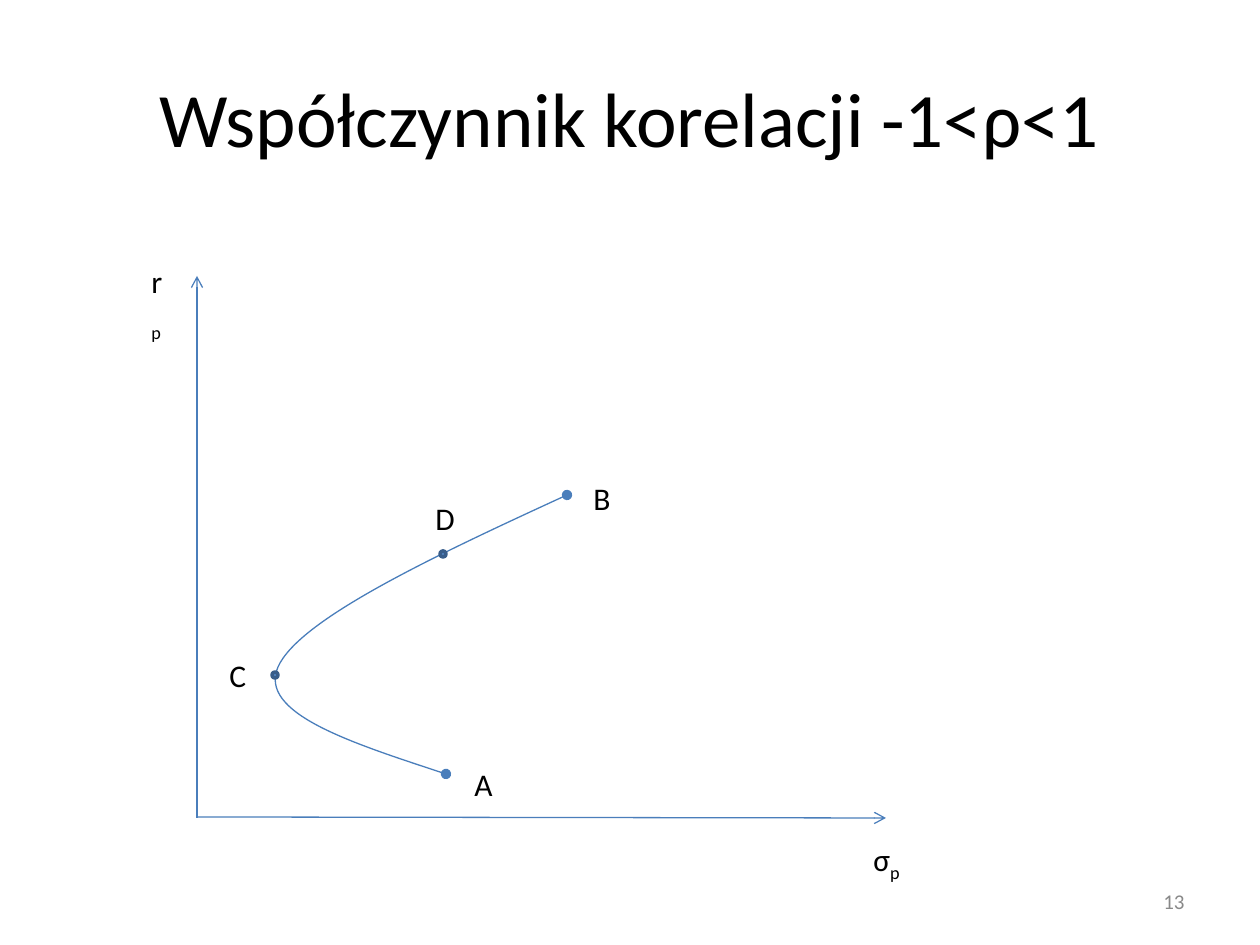
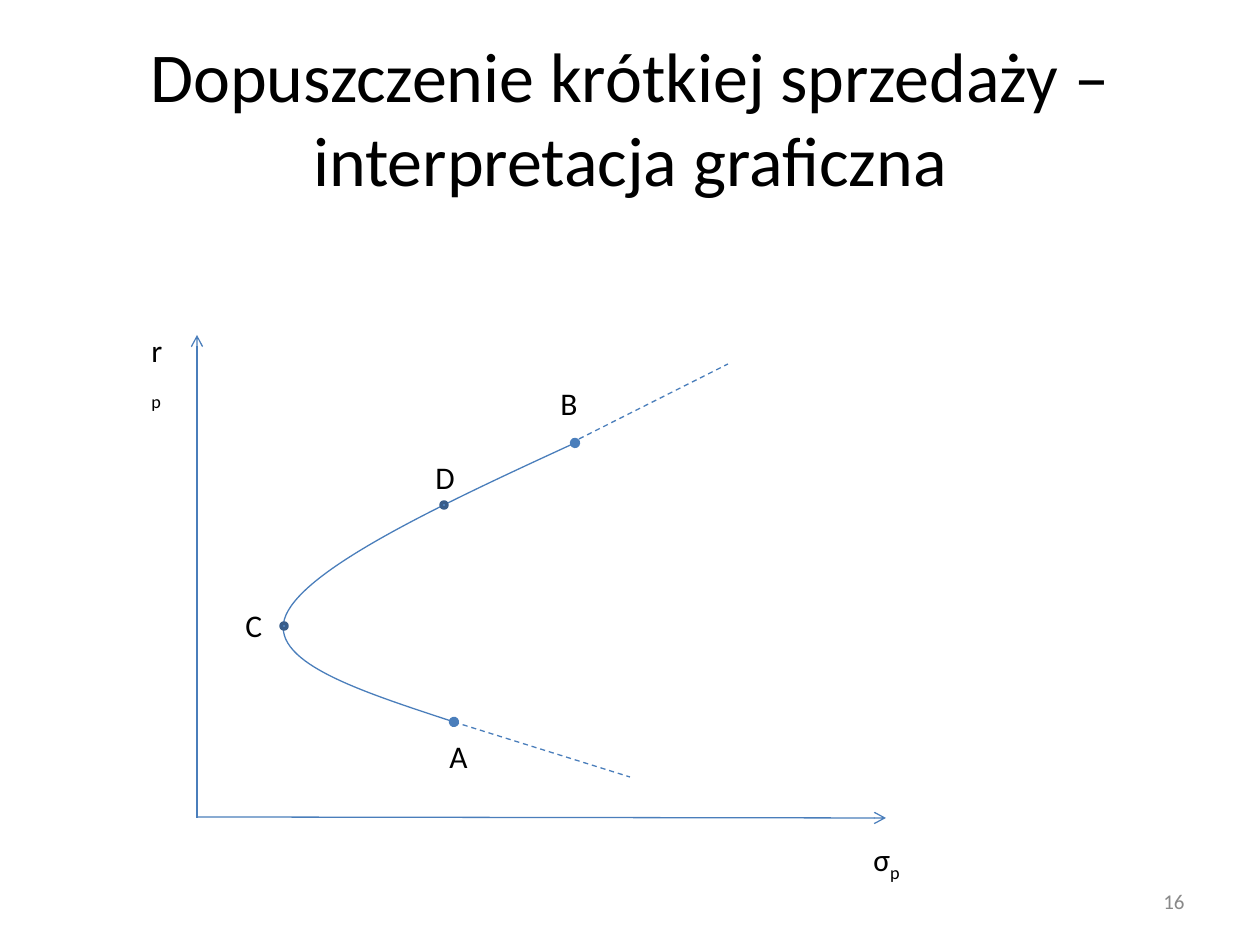
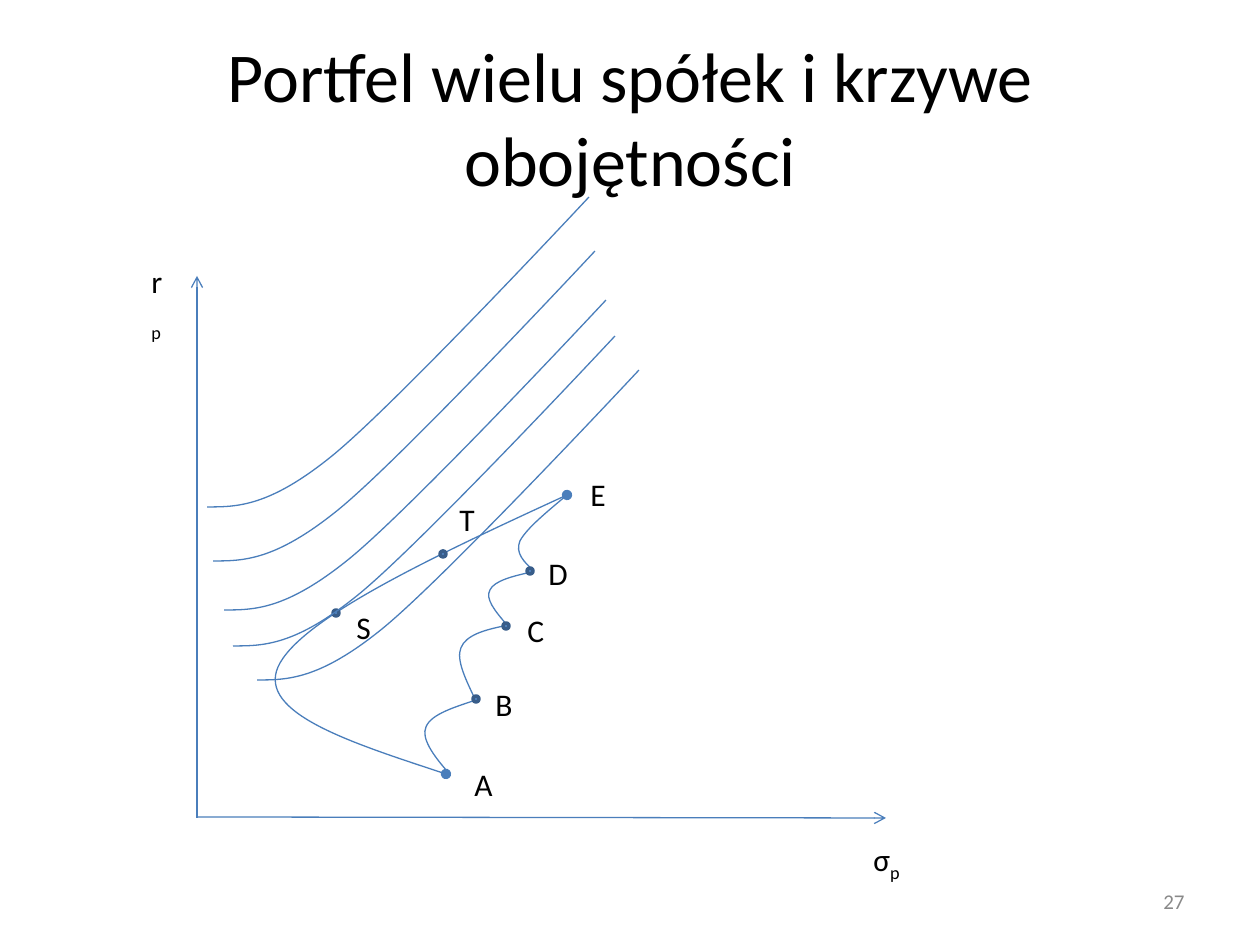
from lxml import etree
from pptx import Presentation
from pptx.dml.color import RGBColor
from pptx.enum.dml import MSO_LINE
from pptx.enum.shapes import MSO_CONNECTOR, MSO_SHAPE
from pptx.enum.text import MSO_ANCHOR, MSO_AUTO_SIZE, PP_ALIGN
from pptx.oxml.ns import qn
from pptx.util import Pt

STRAIGHT = MSO_CONNECTOR.STRAIGHT
OVAL = MSO_SHAPE.OVAL
DASH = MSO_LINE.DASH
MIDDLE = MSO_ANCHOR.MIDDLE
FIXED, GROW = MSO_AUTO_SIZE.NONE, MSO_AUTO_SIZE.SHAPE_TO_FIT_TEXT
LEFT, CENTER, RIGHT = PP_ALIGN.LEFT, PP_ALIGN.CENTER, PP_ALIGN.RIGHT

SCALE = 914400 / 126
COLORS = {"text": "000000", "number": "898989", "line": "4A7EBB",
          "dot": "4F81BD", "rim": "385D8A"}

FRONT = [(567, 495), (432, 557), (299, 620), (278, 667),
         (258, 713), (352, 743), (446, 774)]
TASTE = [(0, 0), (30, 0), (62, 0), (125, -51),
         (189, -103), (382, -310), (382, -310)]
STARTS = [(233, 646), (224, 610), (213, 561), (207, 507), (257, 680)]
ARCS = [
    [(447, 771), (433, 755), (421, 738), (426, 727), (431, 714), (455, 707), (479, 699)],
    [(476, 701), (466, 680), (456, 660), (461, 648), (466, 635), (485, 630), (504, 626)],
    [(507, 625), (495, 611), (485, 599), (490, 590), (494, 581), (513, 576), (532, 572)],
    [(534, 571), (524, 562), (515, 553), (520, 541), (527, 528), (547, 512), (567, 495)],
]


def px(*values):
    return [round(value * SCALE) for value in values]


def rgb(name):
    return RGBColor.from_string(COLORS[name])


def shift(points, dx, dy):
    return [(x + dx, y + dy) for x, y in points]


class Deck:
    def __init__(self):
        self.show = Presentation()
        self.show.slide_width, self.show.slide_height = px(1260, 945)
        self.slide = None

    def page(self, title, size, number):
        self.slide = self.show.slides.add_slide(self.show.slide_layouts[5])
        head = self.slide.shapes.title
        head.left, head.top, head.width, head.height = px(63, 38, 1134, 157)
        frame = head.text_frame
        frame.margin_left = frame.margin_right = 0
        frame.margin_top = frame.margin_bottom = 0
        frame.word_wrap = True
        frame.auto_size = FIXED
        frame.vertical_anchor = MIDDLE
        frame.text = title
        self.style(frame.paragraphs[0], size, CENTER)

        box = self.slide.shapes.add_textbox(*px(903, 876, 294, 50))
        box.text_frame.word_wrap = True
        box.text_frame.vertical_anchor = MIDDLE
        box.text_frame.text = number
        self.style(box.text_frame.paragraphs[0], 12, RIGHT, "number")

    def style(self, para, size, align=LEFT, color="text"):
        para.alignment = align
        para.font.name = "Calibri"
        para.font.size = Pt(size)
        para.font.color.rgb = rgb(color)

    def label(self, text, x, y, sub="", width=42, height=50):
        frame = self.slide.shapes.add_textbox(*px(x, y, width, height)).text_frame
        frame.word_wrap = False
        frame.auto_size = GROW
        para = frame.paragraphs[0]
        para.add_run().text = text
        if sub:
            run = para.add_run()
            run.text = sub
            run._r.get_or_add_rPr().set("baseline", "-25000")
        self.style(para, 18)

    def labels(self, places):
        for text, (x, y) in places.items():
            self.label(text, x, y)

    def stroke(self, shape, head=None, tail=None, dash=None):
        line = shape.line
        line.color.rgb = rgb("line")
        line.width = Pt(0.74)
        if dash:
            line.dash_style = dash
        edge = shape._element.spPr.find(qn("a:ln"))
        for tag, kind in (("a:headEnd", head), ("a:tailEnd", tail)):
            if kind:
                etree.SubElement(edge, qn(tag)).set("type", kind)

    def line(self, start, end, tail=None, dash=None):
        link = self.slide.shapes.add_connector(STRAIGHT, *px(*start, *end))
        self.stroke(link, tail=tail, dash=dash)
        etree.SubElement(link._element.spPr, qn("a:effectLst"))

    def axes(self, top, name):
        self.line((197, 818), (197, top), tail="arrow")
        self.line((197, 817), (886, 818), tail="arrow")
        self.label("r", 139, name, "p", 45, 55)
        self.label("σ", 861, 834, "p", 52, 55)

    def curve(self, points, ends=None):
        pen = self.slide.shapes.build_freeform(*points[0], scale=SCALE)
        pen.add_line_segments(points[1:], close=False)
        shape = pen.convert_to_shape()
        steps = list(shape._element.iter(qn("a:lnTo")))
        for i in range(0, len(steps), 3):
            bend = etree.Element(qn("a:cubicBezTo"))
            steps[i].addprevious(bend)
            for step in steps[i:i + 3]:
                bend.append(step[0])
                step.getparent().remove(step)
        shape.shadow.inherit = False
        shape.fill.background()
        self.stroke(shape, ends, ends)

    def dots(self, *centers):
        for x, y in centers:
            dot = self.slide.shapes.add_shape(OVAL, *px(x - 3, y - 3, 6, 6))
            dot.shadow.inherit = False
            dot.fill.solid()
            dot.fill.fore_color.rgb = rgb("dot")
            dot.line.color.rgb = rgb("rim")
            dot.line.width = Pt(2)


deck = Deck()

deck.page("Współczynnik korelacji -1<ρ<1", 44, "13")
deck.axes(276, 256)
deck.curve(FRONT, "oval")
deck.labels({"A": (462, 759), "B": (581, 473), "C": (217, 650), "D": (423, 493)})
deck.dots((275, 675), (443, 554))

deck.page("Dopuszczenie krótkiej sprzedaży – interpretacja graficzna", 40, "16")
deck.axes(335, 325)
deck.curve(shift(FRONT, 8, -52), "oval")
deck.labels({"A": (437, 731), "B": (548, 378), "C": (233, 600), "D": (423, 452)})
deck.dots((284, 626), (444, 505))
deck.line((571, 443), (728, 364), dash=DASH)
deck.line((454, 722), (630, 777), dash=DASH)

deck.page("Portfel wielu spółek i krzywe obojętności", 40, "27")
deck.axes(276, 256)
deck.curve(FRONT, "oval")
for arc in ARCS:
    deck.curve(arc)
deck.dots((443, 554), (476, 699), (506, 626), (530, 571), (336, 613))
deck.labels({"A": (462, 759), "B": (483, 679), "C": (515, 605), "D": (536, 548),
             "E": (578, 469), "T": (447, 494), "S": (344, 602)})
for start in STARTS:
    deck.curve(shift(TASTE, *start))

deck.show.save("out.pptx")
